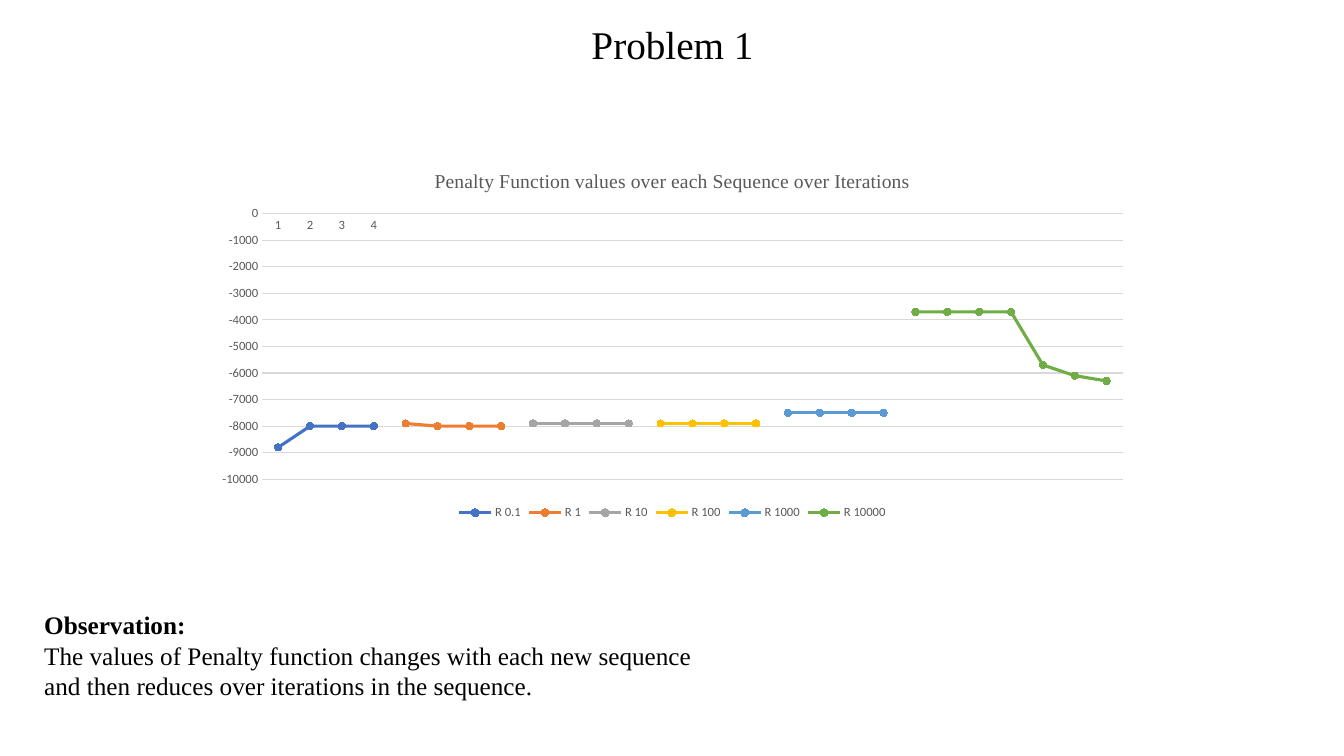
from pptx import Presentation
from pptx.chart.data import CategoryChartData
from pptx.dml.color import RGBColor
from pptx.enum.chart import XL_CHART_TYPE, XL_LEGEND_POSITION, XL_MARKER_STYLE, XL_TICK_MARK
from pptx.enum.text import MSO_ANCHOR, PP_ALIGN
from pptx.util import Inches, Pt

COLORS = {
    "text": "000000", "label": "595959", "grid": "D9D9D9",
    "R 0.1": "4472C4", "R 1": "ED7D31", "R 10": "A5A5A5",
    "R 100": "FFC000", "R 1000": "5B9BD5", "R 10000": "70AD47",
}
SERIF = "Times New Roman"
RUNS = {
    "R 0.1": [-8800, -8000, -8000, -8000],
    "R 1": [-7900, -8000, -8000, -8000],
    "R 10": [-7900] * 4,
    "R 100": [-7900] * 4,
    "R 1000": [-7500] * 4,
    "R 10000": [-3700, -3700, -3700, -3700, -5700, -6100, -6300],
}


def color(name):
    return RGBColor.from_string(COLORS[name])


def style(font, size, face="Calibri", tint="label", bold=False):
    font.size, font.name, font.bold = Pt(size), face, bold
    font.color.rgb = color(tint)


def write(para, text, size=18, face=SERIF, tint="text", bold=False, align=PP_ALIGN.LEFT):
    para.alignment = align
    run = para.add_run()
    run.text = text
    style(run.font, size, face, tint, bold)


deck = Presentation()
deck.slide_width, deck.slide_height = Inches(13.33), Inches(7.5)
slide = deck.slides.add_slide(deck.slide_layouts[5])

# Title
title = slide.shapes.title
title.left, title.top = Inches(4.34), Inches(0.15)
title.width, title.height = Inches(4.66), Inches(0.57)
title.text_frame.vertical_anchor = MSO_ANCHOR.TOP
write(title.text_frame.paragraphs[0], "Problem 1", size=28, align=PP_ALIGN.CENTER)

# Observation
note = slide.shapes.add_textbox(Inches(0.34), Inches(6), Inches(6.79), Inches(1.01)).text_frame
note.word_wrap = True
write(note.paragraphs[0], "Observation:", bold=True)
write(note.add_paragraph(), "The values of Penalty function changes with each new sequence "
      "and then reduces over iterations in the sequence.")

# Chart: each sequence starts where the one before it ends
total = sum(len(vals) for vals in RUNS.values())
data = CategoryChartData()
data.categories = [str(i) if i <= 4 else "" for i in range(1, total + 1)]
start = 0
for name, vals in RUNS.items():
    rest = total - start - len(vals)
    data.add_series(name, [None] * start + vals + [None] * rest)
    start += len(vals)
chart = slide.shapes.add_chart(XL_CHART_TYPE.LINE_MARKERS, Inches(2.02), Inches(1.51),
                               Inches(9.3), Inches(3.69), data).chart
style(chart.font, 10, tint="text")
chart.has_title = True
write(chart.chart_title.text_frame.paragraphs[0],
      "Penalty Function values over each Sequence over Iterations",
      size=14, tint="label", align=PP_ALIGN.CENTER)
chart.chart_title.include_in_layout = False

chart.has_legend = True
chart.legend.position = XL_LEGEND_POSITION.BOTTOM
chart.legend.include_in_layout = False
style(chart.legend.font, 9)

steps, levels = chart.category_axis, chart.value_axis
for axis in (steps, levels):
    axis.major_tick_mark = axis.minor_tick_mark = XL_TICK_MARK.NONE
    style(axis.tick_labels.font, 9)
levels.minimum_scale, levels.maximum_scale, levels.major_unit = -10000, 0, 1000
levels.has_major_gridlines = True
levels.format.line.fill.background()
for line in (steps.format.line, levels.major_gridlines.format.line):
    line.color.rgb = color("grid")
    line.width = Pt(0.75)

for series in chart.plots[0].series:
    tint = color(series.name)
    series.smooth = False
    series.format.line.color.rgb = tint
    series.format.line.width = Pt(2.25)
    mark = series.marker
    mark.style, mark.size = XL_MARKER_STYLE.CIRCLE, 5
    mark.format.fill.solid()
    mark.format.fill.fore_color.rgb = tint
    mark.format.line.color.rgb = tint

deck.save("out.pptx")
